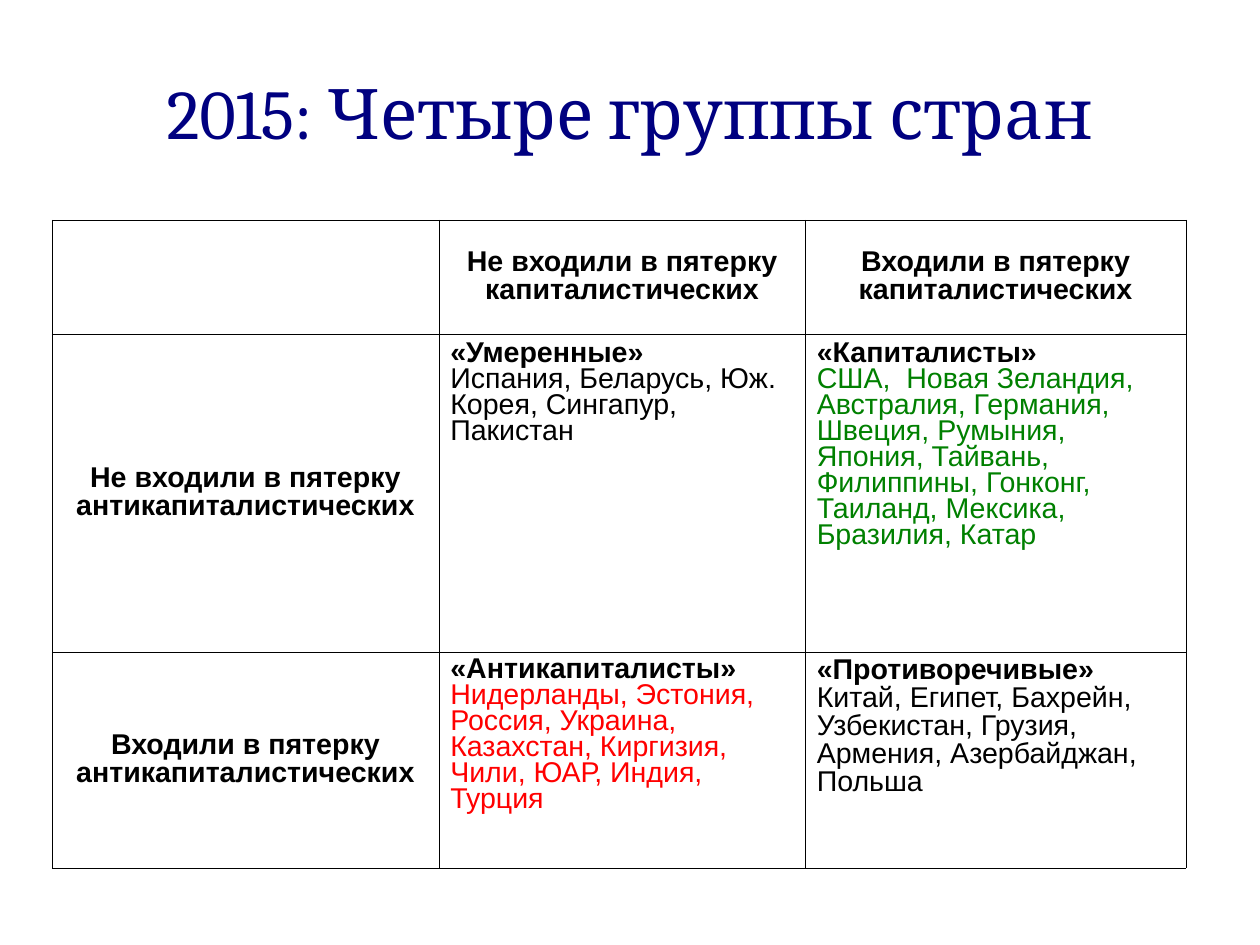
from lxml.etree import SubElement
from pptx import Presentation
from pptx.dml.color import RGBColor
from pptx.enum.text import MSO_ANCHOR as Anchor, MSO_AUTO_SIZE as AutoSize, PP_ALIGN as Align
from pptx.oxml.ns import qn
from pptx.util import Pt

COLORS = {
    "navy": "000080",
    "black": "000000",
    "green": "008000",
    "red": "FF0000",
    "white": "FFFFFF",
}
TITLE_ONLY = 5
COLUMN_WIDTHS = [243.75, 230.9, 239.75]
ROW_HEIGHTS = [72, 200.16, 136.08]
NORMAL, TIGHT = 0.87, 0.81

COLUMN_HEADS = ["Не входили в пятерку капиталистических",
                "Входили в пятерку капиталистических"]
ROW_HEADS = ["Не входили в пятерку антикапиталистических",
             "Входили в пятерку антикапиталистических"]

# Row, column, group name, countries, color, spacing of name and of countries
GROUPS = [
    (1, 1, "«Умеренные»",
     "Испания, Беларусь, Юж. Корея, Сингапур,  Пакистан",
     "black", NORMAL, TIGHT),
    (1, 2, "«Капиталисты»",
     "США,  Новая Зеландия, Австралия, Германия, Швеция, Румыния,  Япония, "
     "Тайвань, Филиппины, Гонконг, Таиланд, Мексика,  Бразилия, Катар",
     "green", NORMAL, TIGHT),
    (2, 1, "«Антикапиталисты»",
     "Нидерланды, Эстония, Россия, Украина, Казахстан, Киргизия,  Чили, ЮАР, "
     "Индия, Турция",
     "red", TIGHT, TIGHT),
    (2, 2, "«Противоречивые»",
     "Китай, Египет, Бахрейн, Узбекистан, Грузия, Армения, Азербайджан, Польша",
     "black", NORMAL, NORMAL),
]


def write(paragraph, text, font="Arial", size=18, color="black", bold=False,
          align=Align.LEFT, spacing=NORMAL):
    paragraph.alignment = align
    paragraph.line_spacing = spacing
    paragraph.space_before = paragraph.space_after = Pt(0)
    run = paragraph.add_run()
    run.text = text
    run.font.name = font
    run.font.size = Pt(size)
    run.font.bold = bold
    run.font.color.rgb = RGBColor.from_string(COLORS[color])


def add_title(slide, text):
    title = slide.shapes.title
    title.left, title.top, title.width, title.height = Pt(39.6), Pt(23.5), Pt(714.24), Pt(99.36)
    frame = title.text_frame
    frame.margin_left = frame.margin_right = frame.margin_top = frame.margin_bottom = Pt(0)
    frame.vertical_anchor = Anchor.MIDDLE
    frame.word_wrap = True
    frame.auto_size = AutoSize.NONE
    write(frame.paragraphs[0], text, font="Cambria", size=44, color="navy",
          align=Align.CENTER, spacing=0.93)


def style_cell(cell):
    cell.margin_left = cell.margin_right = Pt(7.2)
    cell.margin_top = cell.margin_bottom = Pt(3.6)
    cell.fill.solid()
    cell.fill.fore_color.rgb = RGBColor.from_string(COLORS["white"])
    # Borders come before the fill in the cell properties
    properties = cell._tc.get_or_add_tcPr()
    for position, side in enumerate(["lnL", "lnR", "lnT", "lnB"]):
        border = SubElement(properties, qn(f"a:{side}"), w=str(Pt(0.06)))
        fill = SubElement(border, qn("a:solidFill"))
        SubElement(fill, qn("a:srgbClr"), val=COLORS["black"])
        properties.insert(position, border)


def add_grid(slide):
    shape = slide.shapes.add_table(len(ROW_HEIGHTS), len(COLUMN_WIDTHS), Pt(32.75), Pt(138.5),
                                   Pt(sum(COLUMN_WIDTHS)), Pt(sum(ROW_HEIGHTS)))
    table = shape.table
    table.first_row = table.horz_banding = False
    for column, width in zip(table.columns, COLUMN_WIDTHS):
        column.width = Pt(width)
    for row, height in zip(table.rows, ROW_HEIGHTS):
        row.height = Pt(height)
    for cell in table.iter_cells():
        style_cell(cell)
    return table


def fill_head(cell, text):
    cell.vertical_anchor = Anchor.MIDDLE
    write(cell.text_frame.paragraphs[0], text, bold=True, align=Align.CENTER)


def fill_group(cell, name, countries, color, name_spacing, countries_spacing):
    cell.vertical_anchor = Anchor.TOP
    frame = cell.text_frame
    write(frame.paragraphs[0], name, bold=True, spacing=name_spacing)
    write(frame.add_paragraph(), countries, color=color, spacing=countries_spacing)


def main():
    presentation = Presentation()
    presentation.slide_width, presentation.slide_height = Pt(793.75), Pt(595.25)
    slide = presentation.slides.add_slide(presentation.slide_layouts[TITLE_ONLY])

    add_title(slide, "2015: Четыре группы стран")

    # Table of country groups
    table = add_grid(slide)
    for index, text in enumerate(COLUMN_HEADS, start=1):
        fill_head(table.cell(0, index), text)
    for index, text in enumerate(ROW_HEADS, start=1):
        fill_head(table.cell(index, 0), text)
    for row, column, *group in GROUPS:
        fill_group(table.cell(row, column), *group)

    presentation.save("out.pptx")


if __name__ == "__main__":
    main()
